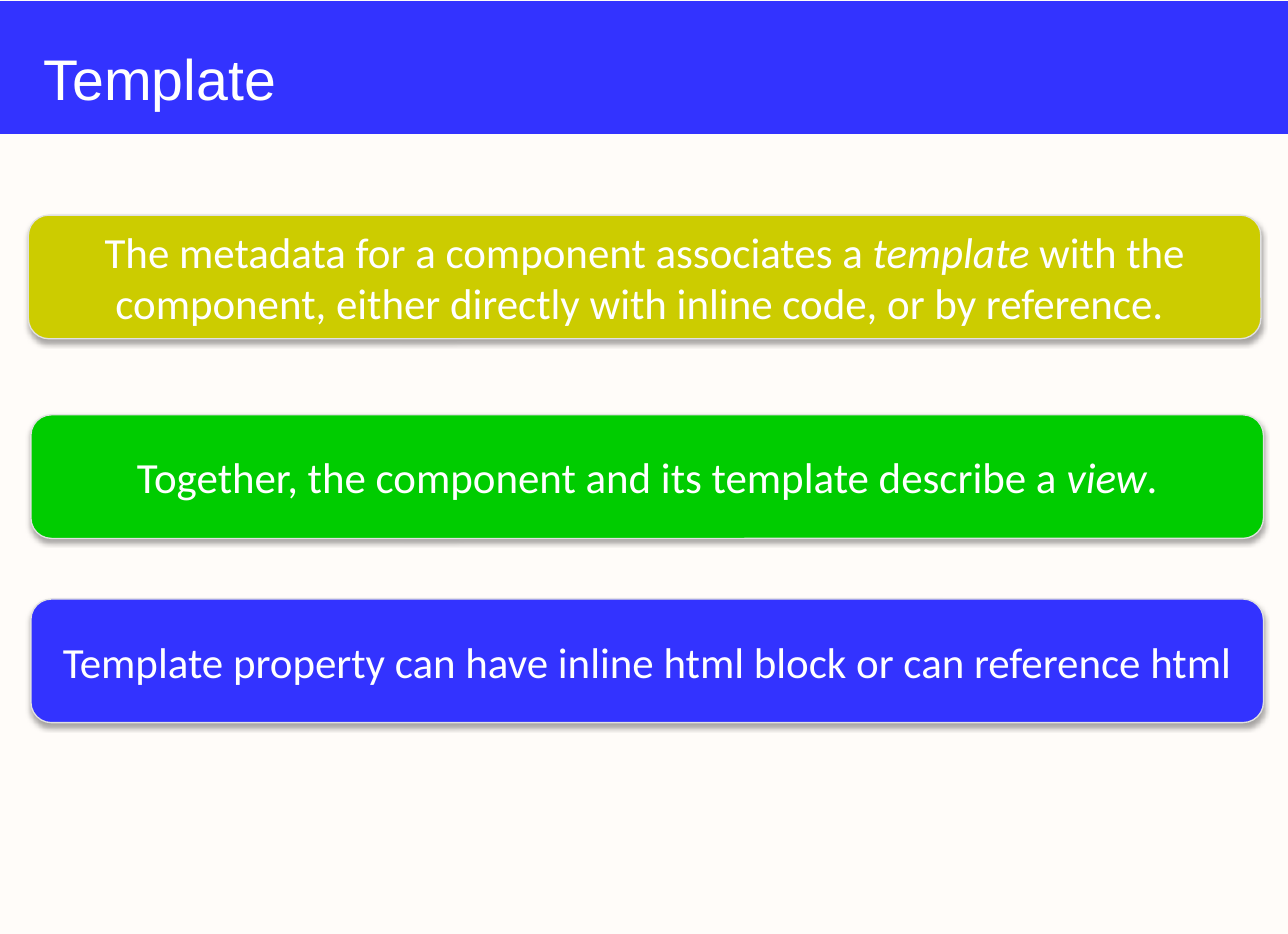
"""Build the Template slide: a title banner above three rounded statements."""
from lxml.etree import SubElement
from pptx import Presentation
from pptx.dml.color import RGBColor
from pptx.enum.shapes import MSO_SHAPE
from pptx.enum.text import MSO_ANCHOR, PP_ALIGN
from pptx.oxml.ns import qn
from pptx.util import Inches, Pt

BLUE = RGBColor(0x33, 0x33, 0xFF)
YELLOW = RGBColor(0xCC, 0xCC, 0x00)
GREEN = RGBColor(0x00, 0xCC, 0x00)
WHITE = RGBColor(0xFF, 0xFF, 0xFF)
CREAM = RGBColor(0xFF, 0xFC, 0xF9)
OUTLINE = RGBColor(0xE1, 0xE1, 0xE1)

TITLE = "Template"
STATEMENTS = [
    (0.22, 1.67, YELLOW, [
        ("The metadata for a component associates a ", False),
        ("template", True),
        (" with the component, either directly with inline code, or by reference. ", False),
    ]),
    (0.24, 3.22, GREEN, [
        ("Together, the component and its template describe a ", False),
        ("view", True),
        (".", False),
    ]),
    (0.24, 4.65, BLUE, [
        ("Template property can have inline html block or can reference html", False),
    ]),
]
BOX_WIDTH, BOX_HEIGHT = 9.57, 0.96


def set_font(font, name, size):
    font.name = name
    font.size = Pt(size)
    font.color.rgb = WHITE


def add_shadow(shape):
    effects = SubElement(shape.element.spPr, qn("a:effectLst"))
    shadow = SubElement(effects, qn("a:outerShdw"), blurRad=str(Pt(3.1)),
                        dist=str(Pt(1.8)), dir="5400000", rotWithShape="0")
    color = SubElement(shadow, qn("a:srgbClr"), val="000000")
    SubElement(color, qn("a:alpha"), val="35000")


def add_banner(page, width):
    banner = page.shapes.add_shape(MSO_SHAPE.RECTANGLE, 0, Inches(0.01), width, Inches(1.03))
    banner.shadow.inherit = False
    banner.fill.solid()
    banner.fill.fore_color.rgb = BLUE
    banner.line.fill.background()
    page.shapes.title.element.addprevious(banner.element)


def fill_title(title):
    title.left, title.top = Inches(0.24), Inches(0.27)
    title.width, title.height = Inches(BOX_WIDTH), Inches(0.6)
    frame = title.text_frame
    frame.text = TITLE
    frame.vertical_anchor = MSO_ANCHOR.BOTTOM
    frame.margin_top = frame.margin_bottom = 0
    para = frame.paragraphs[0]
    para.alignment = PP_ALIGN.LEFT
    set_font(para.font, "Arial", 32)


def add_statement(page, left, top, color, spans):
    box = page.shapes.add_shape(MSO_SHAPE.ROUNDED_RECTANGLE, Inches(left), Inches(top),
                                Inches(BOX_WIDTH), Inches(BOX_HEIGHT))
    box.fill.solid()
    box.fill.fore_color.rgb = color
    box.line.color.rgb = OUTLINE
    box.line.width = Pt(0.75)
    add_shadow(box)
    box.text_frame.word_wrap = True
    box.text_frame.vertical_anchor = MSO_ANCHOR.MIDDLE
    para = box.text_frame.paragraphs[0]
    para.alignment = PP_ALIGN.CENTER
    set_font(para.font, "Calibri", 24)
    for text, italic in spans:
        span = para.add_run()
        span.text = text
        if italic:
            span.font.italic = True


def main():
    deck = Presentation()
    deck.slide_width, deck.slide_height = Inches(10), Inches(7.25)
    page = deck.slides.add_slide(deck.slide_layouts[5])
    page.background.fill.solid()
    page.background.fill.fore_color.rgb = CREAM
    add_banner(page, deck.slide_width)
    fill_title(page.shapes.title)
    for statement in STATEMENTS:
        add_statement(page, *statement)
    deck.save("out.pptx")


if __name__ == "__main__":
    main()
